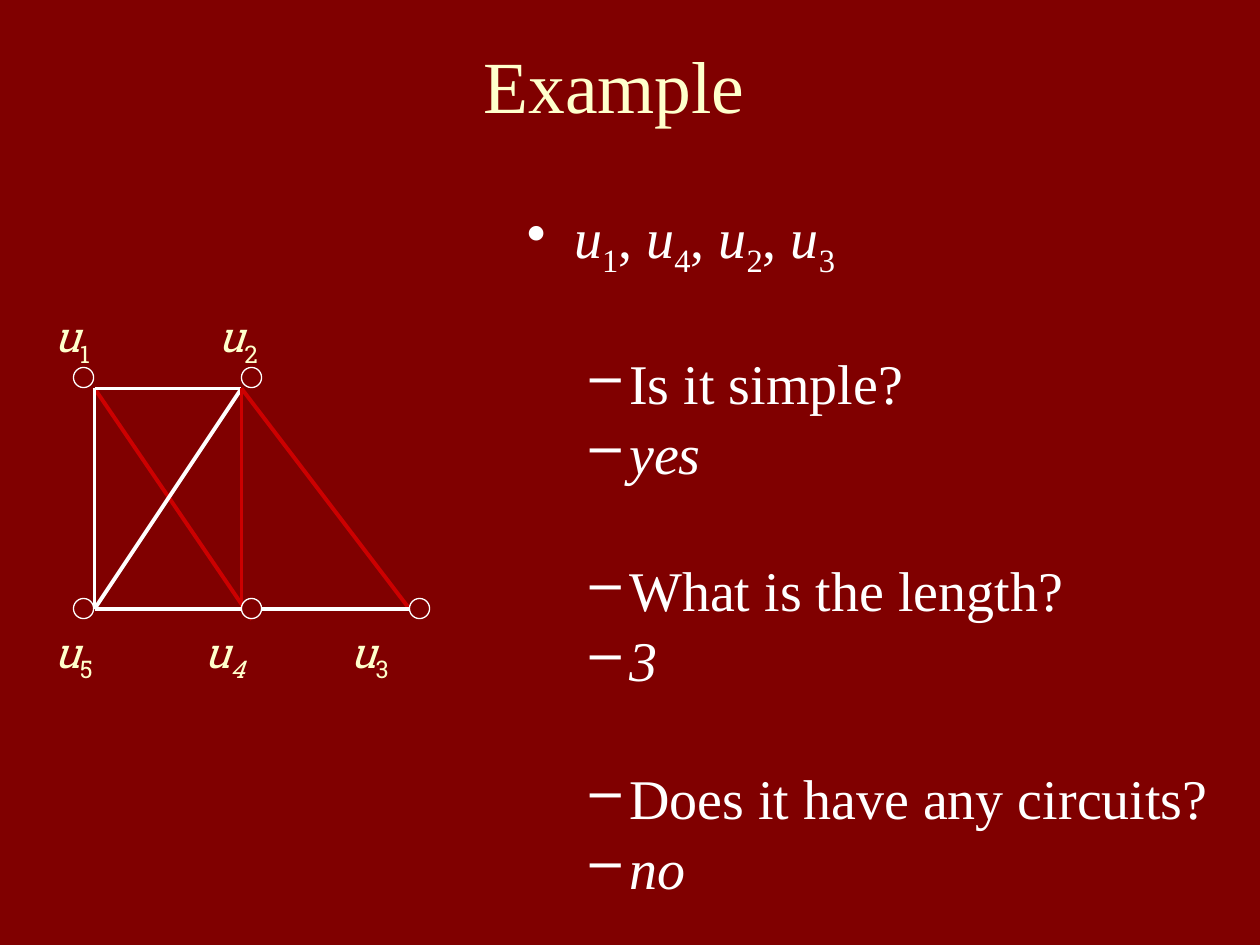
"""Build a slide that asks about a path in a five-vertex graph."""
from lxml import etree
from pptx import Presentation
from pptx.dml.color import RGBColor
from pptx.enum.shapes import MSO_CONNECTOR, MSO_SHAPE
from pptx.enum.text import MSO_ANCHOR, PP_ALIGN
from pptx.oxml.ns import qn
from pptx.util import Pt

STRAIGHT = MSO_CONNECTOR.STRAIGHT
OVAL = MSO_SHAPE.OVAL
MIDDLE = MSO_ANCHOR.MIDDLE
CENTER = PP_ALIGN.CENTER
MAROON = RGBColor(0x80, 0x00, 0x00)
CREAM = RGBColor(0xFF, 0xFF, 0xCC)
WHITE = RGBColor(0xFF, 0xFF, 0xFF)
RED = RGBColor(0xCC, 0x00, 0x00)
SERIF = "Times New Roman"
SLAB = "Roboto Slab"


def add_run(p, text, size=32, font=SERIF, color=WHITE, italic=False, sub=False):
    r = p.add_run()
    r.text = text
    r.font.size = Pt(size)
    r.font.name = font
    r.font.color.rgb = color
    r.font.italic = italic
    if sub:
        r.font._element.set("baseline", "-25000")


def set_bullet(p, char, left, hanging):
    pPr = p._p.get_or_add_pPr()
    pPr.set("marL", str(Pt(left)))
    pPr.set("indent", str(-Pt(hanging)))
    etree.SubElement(pPr, qn("a:buChar"), char=char)


prs = Presentation()
prs.slide_width, prs.slide_height = Pt(720), Pt(540)
s = prs.slides.add_slide(prs.slide_layouts[6])
s.background.fill.solid()
s.background.fill.fore_color.rgb = MAROON

tf = s.shapes.add_textbox(Pt(18), Pt(12), Pt(666), Pt(72)).text_frame
tf.word_wrap = True
tf.vertical_anchor = MIDDLE
p = tf.paragraphs[0]
p.alignment = CENTER
add_run(p, "Example", size=42, color=CREAM)

tf = s.shapes.add_textbox(Pt(294), Pt(108), Pt(408), Pt(414)).text_frame
tf.word_wrap = True
tf.margin_top = Pt(7.5)
p = tf.paragraphs[0]
set_bullet(p, "•", 27, 27)
for i, vertex in enumerate("1423"):
    if i:
        add_run(p, ", ")
    add_run(p, "u", italic=True)
    add_run(p, vertex, sub=True)

questions = [
    ("Is it simple?", "yes"),
    ("What is the length?", "3"),
    ("Does it have any circuits?", "no"),
]
for question, answer in questions:
    for text, italic, gap in ((question, False, 40), (answer, True, 1.6)):
        p = tf.add_paragraph()
        p.level = 1
        p.space_before = Pt(gap)
        set_bullet(p, "–", 58.5, 22.5)
        add_run(p, text, italic=italic)

LEFT, MID, RIGHT, TOP, BOTTOM = 54, 138, 234, 222, 348
edges = [
    (LEFT, TOP, 144, 354, RED),
    (LEFT, BOTTOM, MID, TOP, WHITE),
    (MID, TOP, RIGHT, BOTTOM, RED),
    (144, BOTTOM, RIGHT, BOTTOM, WHITE),
    (LEFT, TOP, MID, TOP, WHITE),
    (LEFT, TOP, LEFT, BOTTOM, WHITE),
    (MID, TOP, MID, BOTTOM, RED),
    (LEFT, BOTTOM, MID, BOTTOM, WHITE),
]
for x1, y1, x2, y2, color in edges:
    edge = s.shapes.add_connector(STRAIGHT, Pt(x1), Pt(y1), Pt(x2), Pt(y2))
    edge.line.color.rgb = color
    edge.line.width = Pt(2.25)
    etree.SubElement(edge._element.spPr, qn("a:effectLst"))

for x, y in ((42, 210), (138, 210), (42, 342), (138, 342), (234, 342)):
    sp = s.shapes.add_shape(OVAL, Pt(x), Pt(y), Pt(11.5), Pt(11.5))
    sp.shadow.inherit = False
    sp.fill.solid()
    sp.fill.fore_color.rgb = MAROON
    sp.line.color.rgb = WHITE
    sp.line.width = Pt(0.75)

tf = s.shapes.add_textbox(Pt(24), Pt(174), Pt(239), Pt(245.5)).text_frame
tf.word_wrap = True
label_rows = [("12", (94,), 0), ("543", (86, 169), 147.5)]
for i, (vertices, stops, gap) in enumerate(label_rows):
    p = tf.add_paragraph() if i else tf.paragraphs[0]
    if gap:
        p.space_before = Pt(gap)
    tabs = etree.SubElement(p._p.get_or_add_pPr(), qn("a:tabLst"))
    for stop in stops:
        etree.SubElement(tabs, qn("a:tab"), pos=str(Pt(stop)), algn="l")
    for j, vertex in enumerate(vertices):
        add_run(p, "\tu" if j else "u", size=24, font=SLAB, color=CREAM, italic=True)
        add_run(p, vertex, size=24, font=SLAB, color=CREAM, italic=vertex == "4", sub=True)

prs.save("out.pptx")
